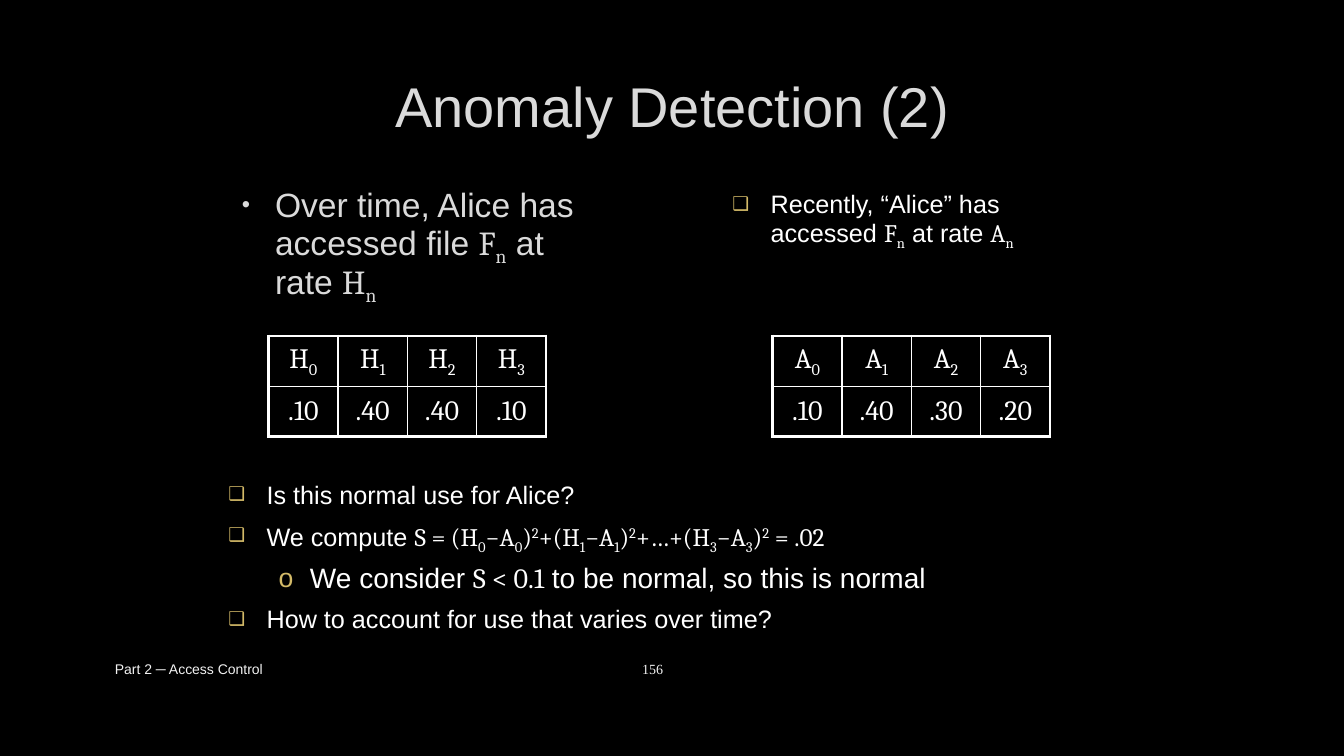
from dataclasses import dataclass

from lxml.etree import SubElement
from pptx import Presentation
from pptx.dml.color import RGBColor
from pptx.enum.text import MSO_ANCHOR as Anchor, PP_ALIGN as Align
from pptx.oxml.ns import qn
from pptx.util import Emu, Inches, Pt

UNIT = Inches(1) // 12  # the slide is a grid of 160 columns by 90 rows
COLS, ROWS = 160, 90
WHITE, GREY, GOLD, BLACK = "FFFFFF", "DADADA", "D3BA68", "000000"
SANS, SERIF, NUMBER = "Arial", "Cambria", "Times New Roman"
THICK, THIN = 2.25, 1


@dataclass
class Bullet:
    char: str = "❑"
    color: str = GOLD
    percent: int = 75
    margin: float = 0.38
    hang: float = 0.38
    level: int = 0


@dataclass
class Item:
    text: str
    size: float = 18
    bullet: Bullet | None = None
    color: str = WHITE
    outlined: bool = False
    after: float = 6


@dataclass
class Block:
    box: tuple[float, float, float, float]
    items: list[Item]
    align: Align = Align.LEFT
    anchor: Anchor = Anchor.TOP


@dataclass
class RateTable:
    col: float
    symbol: str
    rates: list[str]


SQUARE = Bullet()
CIRCLE = Bullet("o", percent=95, margin=0.81, hang=0.31, level=1)
DOT = Bullet("•", GREY, 70, hang=0.33)

BLOCKS = [
    Block((28, 5, 104, 15), [Item("Anomaly Detection (2)", 40, color=GREY, outlined=True)],
          Align.CENTER, Anchor.MIDDLE),
    Block((27, 22, 45, 16), [
        Item("Over time, Alice has accessed file `F_n` at rate `H_n`", 24, DOT, GREY, True)]),
    Block((86, 22.4, 45, 16), [
        Item("Recently, “Alice” has accessed `F_n` at rate `A_n`", 18, SQUARE, after=0)]),
    Block((26, 57, 111, 24), [
        Item("Is this normal use for Alice?", 18, SQUARE),
        Item("We compute `S = (H_0−A_0)^2+(H_1−A_1)^2+…+(H_3−A_3)^2 = .02`", 18, SQUARE),
        Item("We consider `S < 0.1` to be normal, so this is normal", 20, CIRCLE),
        Item("How to account for use that varies over time?", 18, SQUARE)]),
]
TABLES = [
    RateTable(32, "H", [".10", ".40", ".40", ".10"]),
    RateTable(92, "A", [".10", ".40", ".30", ".20"]),
]


def grid(*cells: float) -> list[Emu]:
    return [Emu(round(c * UNIT)) for c in cells]


def rgb(color: str) -> RGBColor:
    return RGBColor.from_string(color)


def add_solid(parent, color: str):
    return SubElement(SubElement(parent, qn("a:solidFill")), qn("a:srgbClr"), val=color)


def add_run(p, text: str, *, size: float, font: str = SANS, color: str = WHITE,
            baseline: int = 0, outlined: bool = False) -> None:
    r = p.add_run()
    r.text = text
    r.font.size, r.font.name = Pt(size), font
    r.font.color.rgb = rgb(color)
    rPr = r.font._element
    if baseline:
        rPr.set("baseline", str(baseline * 1000))
    if outlined:
        ln = SubElement(rPr, qn("a:ln"), w=str(Pt(0.75)))
        SubElement(add_solid(ln, "404040"), qn("a:alpha"), val="10000")
        rPr.insert(0, ln)


def add_rich(p, text: str, **fmt) -> None:
    """Backquotes enclose formulas; in them _ lowers and ^ raises the next letter."""
    for i, part in enumerate(text.split("`")):
        if i % 2 == 0:
            if part:
                add_run(p, part, **fmt)
            continue
        for chunk in part.replace("_", "|_").replace("^", "|^").split("|"):
            if chunk[0] in "_^":
                shift = -25 if chunk[0] == "_" else 30
                add_run(p, chunk[1], font=SERIF, baseline=shift, **fmt)
                chunk = chunk[2:]
            if chunk:
                add_run(p, chunk, font=SERIF, **fmt)


def space_before(p) -> None:
    """Set the gap above a paragraph to 20% of a line."""
    gap = SubElement(p._p.get_or_add_pPr(), qn("a:spcBef"))
    SubElement(gap, qn("a:spcPct"), val="20000")


def set_bullet(p, bullet: Bullet) -> None:
    p.level = bullet.level
    pPr = p._p.get_or_add_pPr()
    pPr.set("marL", str(Inches(bullet.margin)))
    pPr.set("indent", str(-Inches(bullet.hang)))
    SubElement(SubElement(pPr, qn("a:buClr")), qn("a:srgbClr"), val=bullet.color)
    SubElement(pPr, qn("a:buSzPct"), val=str(bullet.percent * 1000))
    SubElement(pPr, qn("a:buFont"), typeface=SANS)
    SubElement(pPr, qn("a:buChar"), char=bullet.char)


def add_frame(s, box: tuple[float, float, float, float], anchor: Anchor):
    tf = s.shapes.add_textbox(*grid(*box)).text_frame
    tf.word_wrap, tf.vertical_anchor = True, anchor
    return tf


def add_block(s, block: Block) -> None:
    tf = add_frame(s, block.box, block.anchor)
    for i, item in enumerate(block.items):
        p = tf.add_paragraph() if i else tf.paragraphs[0]
        p.alignment = block.align
        if item.bullet:
            space_before(p)
            set_bullet(p, item.bullet)
            p.line_spacing, p.space_after = 0.85, Pt(item.after)
        add_rich(p, item.text, size=item.size, color=item.color, outlined=item.outlined)


def set_borders(cell, widths: dict[str, float]) -> None:
    tcPr = cell._tc.get_or_add_tcPr()
    for side, width in widths.items():
        add_solid(SubElement(tcPr, qn(f"a:ln{side}"), w=str(Pt(width))), WHITE)


def add_rates(s, table: RateTable) -> None:
    n = len(table.rates)
    t = s.shapes.add_table(2, n, *grid(table.col, 40, 33, 12)).table
    t.first_row = t.horz_banding = False
    names = [f"`{table.symbol}_{i}`" for i in range(n)]
    values = [f"`{rate}`" for rate in table.rates]
    for row, texts in enumerate((names, values)):
        for col, text in enumerate(texts):
            cell = t.cell(row, col)
            cell.vertical_anchor = Anchor.MIDDLE
            edges = {"L": col == 0, "R": col == n - 1, "T": row == 0, "B": row == 1}
            set_borders(cell, {k: THICK if outer else THIN for k, outer in edges.items()})
            cell.fill.background()
            p = cell.text_frame.paragraphs[0]
            p.alignment = Align.CENTER
            space_before(p)
            add_rich(p, text, size=20)


def add_footer(s, title: str, number: str) -> None:
    p = add_frame(s, (12.5, 77.2, 87, 4.8), Anchor.MIDDLE).paragraphs[0]
    tabs = SubElement(p._p.get_or_add_pPr(), qn("a:tabLst"))
    SubElement(tabs, qn("a:tab"), pos=str(Inches(5.23)), algn="l")
    add_run(p, f"{title}\t", size=10, color="F2F2F2")
    add_run(p, number, size=10, color="F2F2F2", font=NUMBER)


def main() -> None:
    prs = Presentation()
    prs.slide_width, prs.slide_height = grid(COLS, ROWS)
    s = prs.slides.add_slide(prs.slide_layouts[6])
    s.background.fill.solid()
    s.background.fill.fore_color.rgb = rgb(BLACK)
    for block in BLOCKS:
        add_block(s, block)
    for table in TABLES:
        add_rates(s, table)
    add_footer(s, "Part 2 ─ Access Control", "156")
    prs.save("out.pptx")


if __name__ == "__main__":
    main()
